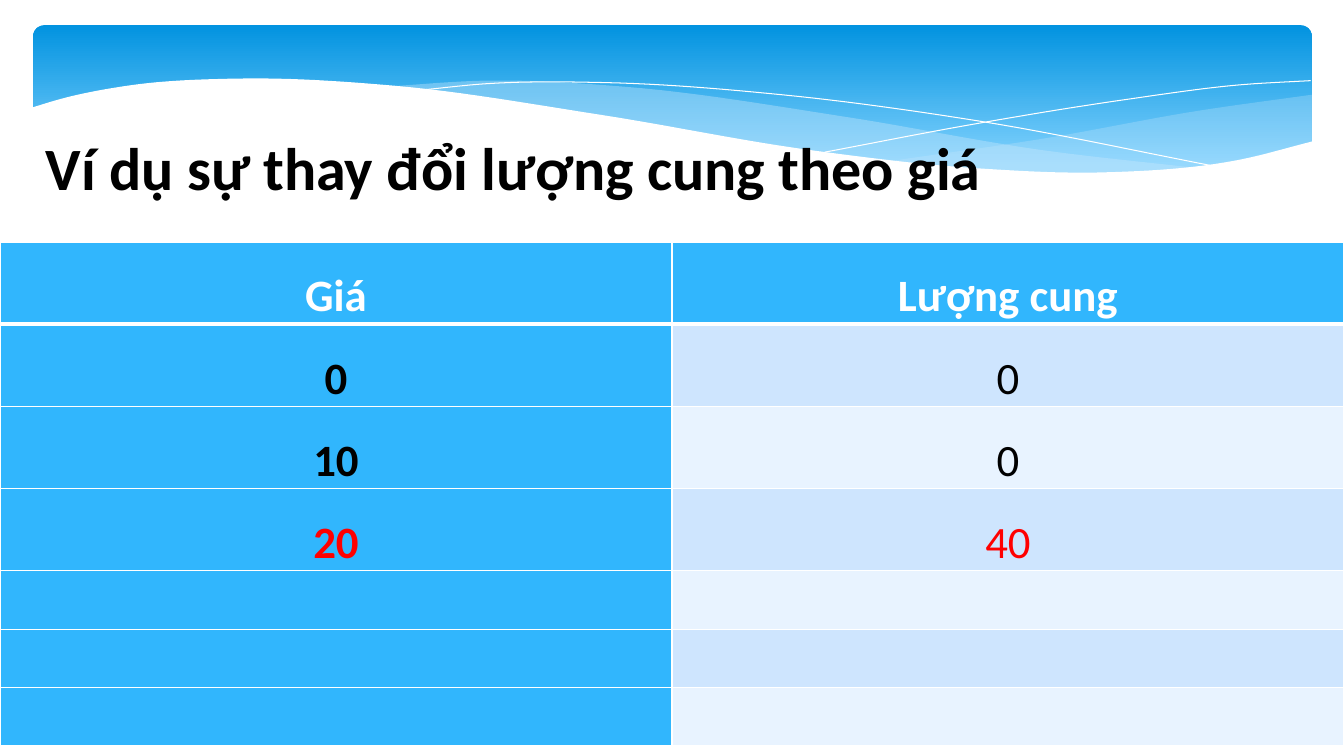
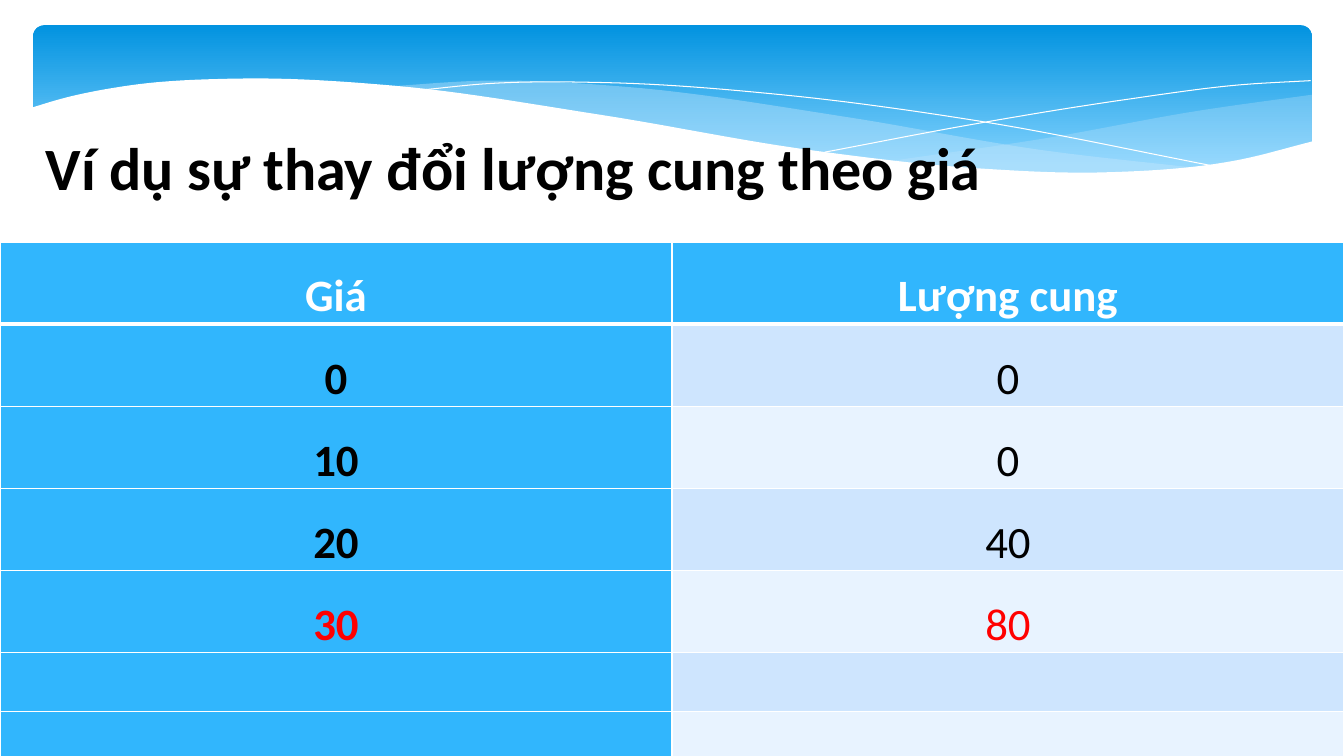
import dataclasses
import itertools

import lxml.etree
import pptx
import pptx.dml.color
import pptx.enum.shapes
import pptx.enum.text
import pptx.oxml.ns
import pptx.util

TITLE = "Ví dụ sự thay đổi lượng cung theo giá"
HEADER = ("Giá", "Lượng cung")
SUPPLY = [("0", "0"), ("10", "0"), ("20", "40"), ("30", "80")]
REVEALED_ROWS = (3, 4)  # one slide each; the newest row is highlighted
BODY_ROWS = 6


@dataclasses.dataclass(frozen=True)
class Theme:
    font: str = "Calibri"
    title_size: float = 42.9
    cell_size: int = 32
    text: str = "000000"
    white: str = "FFFFFF"
    highlight: str = "FF0000"
    band_top: str = "0293E0"
    band_bottom: str = "83D3FE"
    swell: str = "C6E7FC"
    accent: str = "31B6FD"
    stripes: tuple = ("CEE5FE", "E8F3FF")
    grid_width: int = 1
    header_rule: int = 3


THEME = Theme()

# Lengths in px, 100 to the inch
EMU_PER_PX = 9144
SLIDE_SIZE = (1333, 750)
BAND_BOX = (33, 25, 1268, 156)
TITLE_BOX = (-33, 124, 1084, 137)
TABLE_LEFT, TABLE_TOP, ROW_HEIGHT = 0, 240, 58
CELL_MARGIN = 7

# Each edge is a smooth curve through a few knots, left to right
STEPS_PER_SPAN = 12
RIGHT_SWELL = {
    "top": [(882, 160), (1038, 137), (1188, 110), (1301, 94)],
    "bottom": [(882, 160), (1025, 171), (1113, 172), (1207, 163), (1301, 142)],
    "fill": THEME.swell, "opacity": 29,
}
LONG_SWELL = {
    "top": [(382, 86), (482, 80), (619, 86), (839, 116), (1034, 149), (1190, 167)],
    "bottom": [(382, 86), (483, 97), (706, 135), (887, 161), (1076, 173), (1190, 167)],
    "fill": THEME.swell, "opacity": 40,
}
WHITE_WAVE = {
    "top": [(31, 107), (61, 98), (127, 85), (235, 78), (390, 85), (596, 114),
            (804, 149), (969, 167), (1097, 171), (1227, 159), (1303, 140)],
    "bottom": [(31, 224), (1303, 224)],
    "fill": THEME.white, "opacity": 100,
}
FALLING_LINE = [(412, 90), (484, 83), (600, 82), (775, 94), (970, 120), (1210, 166)]
RISING_LINE = [(818, 151), (961, 124), (1115, 99), (1232, 84), (1300, 80)]


def px(*lengths):
    return [pptx.util.Emu(round(length * EMU_PER_PX)) for length in lengths]


def rgb(color):
    return pptx.dml.color.RGBColor.from_string(color)


def write_text(frame, text, *, size, color=THEME.text, bold=False,
               line_spacing=None, space_after=None):
    para = frame.paragraphs[0]
    para.alignment = pptx.enum.text.PP_ALIGN.CENTER
    if line_spacing is not None:
        para.line_spacing = line_spacing
    if space_after is not None:
        para.space_after = pptx.util.Pt(space_after)
    span = para.add_run()
    span.text = text
    span.font.name = THEME.font
    span.font.size = pptx.util.Pt(size)
    span.font.bold = bold
    span.font.color.rgb = rgb(color)


def knot_slopes(knots):
    """Blend the slopes of the two spans at each knot; the nearer one weighs more."""
    spans = [(right[0] - left[0], (right[1] - left[1]) / (right[0] - left[0]))
             for left, right in itertools.pairwise(knots)]
    inner = [(after * slope_before + before * slope_after) / (before + after)
             for (before, slope_before), (after, slope_after)
             in itertools.pairwise(spans)]
    return [spans[0][1], *inner, spans[-1][1]]


def smooth_curve(knots):
    """Sample a cubic Hermite curve that passes through the knots."""
    points = [knots[0]]
    joints = zip(knots, knot_slopes(knots))
    for ((x0, y0), slope0), ((x1, y1), slope1) in itertools.pairwise(joints):
        width = x1 - x0
        for step in range(1, STEPS_PER_SPAN + 1):
            t = step / STEPS_PER_SPAN
            blend = t * t * (3 - 2 * t)
            bend = t * (1 - t) * (slope0 * (1 - t) - slope1 * t)
            points.append((x0 + width * t, y0 + (y1 - y0) * blend + width * bend))
    return points


def add_outline(shapes, points, close):
    start, *others = [px(*point) for point in points]
    builder = shapes.build_freeform(*start)
    builder.add_line_segments(others, close=close)
    shape = builder.convert_to_shape()
    shape.shadow.inherit = False
    return shape


def add_hairline(shapes, knots):
    shape = add_outline(shapes, smooth_curve(knots), close=False)
    shape.fill.background()
    shape.line.color.rgb = rgb(THEME.white)
    shape.line.width = pptx.util.Pt(0)
    return shape


def add_wave(shapes, top, bottom, fill, opacity):
    """Fill the area between a top and a bottom curve."""
    edge = smooth_curve(top) + smooth_curve(bottom)[::-1]
    shape = add_outline(shapes, edge, close=True)
    shape.line.fill.background()
    shape.fill.solid()
    shape.fill.fore_color.rgb = rgb(fill)
    if opacity < 100:
        color = shape.element.find(".//" + pptx.oxml.ns.qn("a:srgbClr"))
        alpha = lxml.etree.SubElement(color, pptx.oxml.ns.qn("a:alpha"))
        alpha.set("val", str(opacity * 1000))
    return shape


def add_band(shapes):
    band = shapes.add_shape(
        pptx.enum.shapes.MSO_SHAPE.ROUNDED_RECTANGLE, *px(*BAND_BOX))
    band.adjustments[0] = 0.07
    band.shadow.inherit = False
    band.line.fill.background()
    band.fill.gradient()
    band.fill.gradient_angle = 270
    stops = ((0, THEME.band_top), (0.9, THEME.band_bottom))
    for stop, (position, color) in zip(band.fill.gradient_stops, stops):
        stop.position = position
        stop.color.rgb = rgb(color)
    return band


def decorate_layout(layout, page):
    """Build the wave header on a page, then move it to the shared layout."""
    header = [
        add_band(page.shapes),
        add_wave(page.shapes, **RIGHT_SWELL),
        add_wave(page.shapes, **LONG_SWELL),
        add_hairline(page.shapes, FALLING_LINE),
        add_hairline(page.shapes, RISING_LINE),
        add_wave(page.shapes, **WHITE_WAVE),
    ]
    for shape in header:
        layout.shapes.element.append(shape.element)


def set_title(page):
    title = page.shapes.title
    title.left, title.top, title.width, title.height = px(*TITLE_BOX)
    frame = title.text_frame
    frame.word_wrap = True
    frame.auto_size = pptx.enum.text.MSO_AUTO_SIZE.NONE
    frame.vertical_anchor = pptx.enum.text.MSO_ANCHOR.TOP
    write_text(frame, TITLE, size=THEME.title_size, bold=True)


def set_borders(cell, **widths):
    """Give the cell white borders; widths in points by side: L, R, T, B."""
    properties = cell._tc.get_or_add_tcPr()
    for side, width in widths.items():
        line = lxml.etree.SubElement(properties, pptx.oxml.ns.qn("a:ln" + side))
        line.set("w", str(pptx.util.Pt(width)))
        fill = lxml.etree.SubElement(line, pptx.oxml.ns.qn("a:solidFill"))
        color = lxml.etree.SubElement(fill, pptx.oxml.ns.qn("a:srgbClr"))
        color.set("val", THEME.white)


def format_cell(cell, row, column):
    thin, thick = THEME.grid_width, THEME.header_rule
    set_borders(cell, L=thin, R=thin, T=thick if row == 1 else thin,
                B=thick if row == 0 else thin)
    is_accent = row == 0 or column == 0
    cell.fill.solid()
    cell.fill.fore_color.rgb = rgb(
        THEME.accent if is_accent else THEME.stripes[(row - 1) % 2])
    cell.margin_left, cell.margin_right = px(CELL_MARGIN, CELL_MARGIN)
    cell.margin_top = cell.margin_bottom = 0


def add_supply_table(page, revealed):
    row_count, column_count = BODY_ROWS + 1, len(HEADER)
    table = page.shapes.add_table(
        row_count, column_count,
        *px(TABLE_LEFT, TABLE_TOP, SLIDE_SIZE[0], ROW_HEIGHT * row_count)).table
    table.horz_banding = False
    for row, column in itertools.product(range(row_count), range(column_count)):
        format_cell(table.cell(row, column), row, column)

    row_colors = {0: THEME.white, revealed: THEME.highlight}
    for row, texts in enumerate([HEADER] + SUPPLY[:revealed]):
        for column, text in enumerate(texts):
            write_text(table.cell(row, column).text_frame, text,
                       size=THEME.cell_size,
                       color=row_colors.get(row, THEME.text),
                       bold=row == 0 or column == 0,
                       line_spacing=1.5, space_after=8)


def main():
    deck = pptx.Presentation()
    deck.slide_width, deck.slide_height = px(*SLIDE_SIZE)
    layout = deck.slide_layouts.get_by_name("Title Only")
    pages = [deck.slides.add_slide(layout) for _ in REVEALED_ROWS]
    decorate_layout(layout, pages[0])
    for page, revealed in zip(pages, REVEALED_ROWS):
        set_title(page)
        add_supply_table(page, revealed)
    deck.save("out.pptx")


if __name__ == "__main__":
    main()
